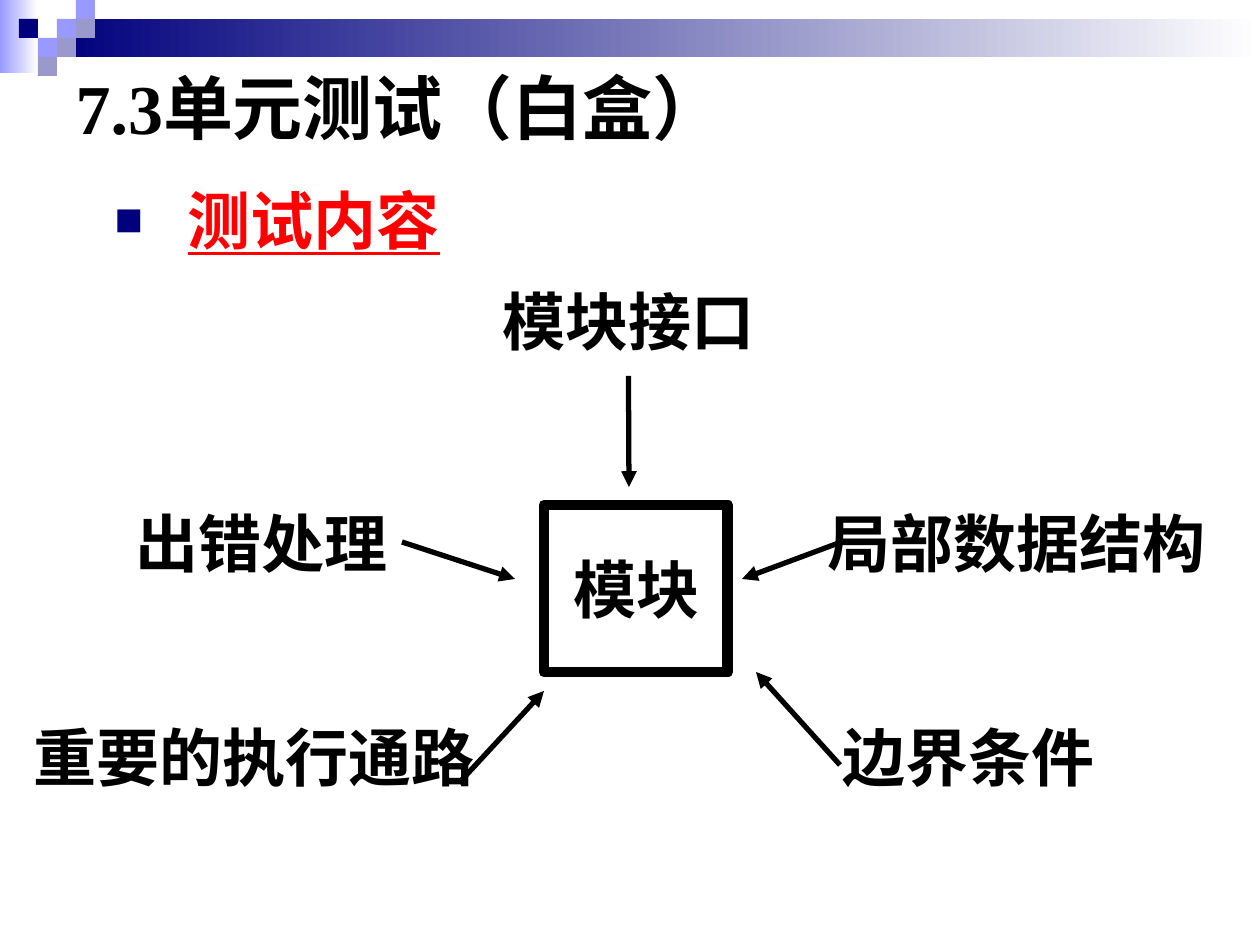
from dataclasses import dataclass

from lxml import etree
from pptx import Presentation
from pptx.dml.color import RGBColor
from pptx.enum.shapes import MSO_CONNECTOR, MSO_SHAPE
from pptx.enum.text import MSO_ANCHOR, MSO_AUTO_SIZE, PP_ALIGN
from pptx.oxml.ns import qn
from pptx.util import Emu, Pt

RECT = MSO_SHAPE.RECTANGLE
STRAIGHT = MSO_CONNECTOR.STRAIGHT
MIDDLE, BOTTOM = MSO_ANCHOR.MIDDLE, MSO_ANCHOR.BOTTOM
LEFT, CENTER = PP_ALIGN.LEFT, PP_ALIGN.CENTER
NO_FIT = MSO_AUTO_SIZE.NONE
PX_PER_INCH = 126
BOTTOM_SITE, LEFT_SITE = 2, 1


@dataclass(frozen=True)
class Theme:
    font: str = "Times New Roman"
    title_size: int = 40
    text_size: int = 36
    box_line: float = 6.25
    arrow_line: int = 3
    ink: str = "000000"
    accent: str = "FF0000"
    navy: str = "00007D"
    violet: str = "9999FF"
    dusk: str = "9999CC"
    paper: str = "FFFFFF"


THEME = Theme()


def px(n):
    return Emu(round(n * 914400 / PX_PER_INCH))


def rgb(color):
    return RGBColor.from_string(color)


def place(sp, x, y, w, h):
    sp.left, sp.top, sp.width, sp.height = px(x), px(y), px(w), px(h)


def write(sp, text, size, color=THEME.ink, align=LEFT, anchor=None, wrap=True):
    tf = sp.text_frame
    tf.text = text
    tf.word_wrap = wrap
    tf.auto_size = NO_FIT
    if anchor is not None:
        tf.vertical_anchor = anchor
    p = tf.paragraphs[0]
    p.alignment = align
    p.font.name = THEME.font
    p.font.size = Pt(size)
    p.font.bold = True
    p.font.color.rgb = rgb(color)
    return p


def add_block(s, x, y, w, h, *colors):
    sp = s.shapes.add_shape(RECT, px(x), px(y), px(w), px(h))
    sp.shadow.inherit = False
    sp.line.fill.background()
    if len(colors) == 1:
        sp.fill.solid()
        sp.fill.fore_color.rgb = rgb(colors[0])
        return
    sp.fill.gradient()
    sp.fill.gradient_angle = 0
    for stop, color in zip(sp.fill.gradient_stops, colors):
        stop.color.rgb = rgb(color)


def add_header(s, x, y, w, step):
    add_block(s, x, y, 2 * step, 73, THEME.violet, THEME.paper)
    add_block(s, x + 3 * step, y + step, w - 3 * step, 2 * step, THEME.navy, THEME.paper)
    squares = [
        (3, 1, THEME.violet), (4, 0, THEME.violet), (4, 1, THEME.dusk),
        (2, 2, THEME.violet), (1, 1, THEME.navy), (3, 2, THEME.dusk),
        (2, 3, THEME.dusk),
    ]
    for col, row, color in squares:
        add_block(s, x + col * step, y + row * step, step, step, color)


def fill_title(s, x, y, w, h):
    sp = s.shapes.title
    place(sp, x, y, w, h)
    write(sp, "7.3单元测试（白盒）", THEME.title_size, anchor=BOTTOM)


def fill_body(s, x, y, w, h):
    sp = s.placeholders[1]
    place(sp, x, y, w, h)
    p = write(sp, "测试内容", THEME.text_size, THEME.accent)
    p.font.underline = True
    p.space_before = Pt(9)
    pPr = p._p.get_or_add_pPr()
    pPr.set("marL", str(px(112)))
    pPr.set("indent", str(px(-73)))
    defaults = pPr.find(qn("a:defRPr"))
    color = etree.Element(qn("a:buClr"))
    etree.SubElement(color, qn("a:srgbClr"), val=THEME.navy)
    size = etree.Element(qn("a:buSzPct"), val="75000")
    char = etree.Element(qn("a:buChar"), char="■")
    for bullet in (color, size, char):
        defaults.addprevious(bullet)


def add_label(s, text, x, y, w, h):
    sp = s.shapes.add_textbox(px(x), px(y), px(w), px(h))
    write(sp, text, THEME.text_size, align=CENTER, anchor=MIDDLE, wrap=False)
    return sp


def add_arrow(s, x1, y1, x2, y2):
    line = s.shapes.add_connector(STRAIGHT, px(x1), px(y1), px(x2), px(y2))
    line.line.width = Pt(THEME.arrow_line)
    line.line.color.rgb = rgb(THEME.ink)
    etree.SubElement(line.line._get_or_add_ln(), qn("a:tailEnd"), type="triangle")
    etree.SubElement(line._element.spPr, qn("a:effectLst"))
    return line


def add_diagram(s, x, y):
    module = s.shapes.add_shape(RECT, px(x + 481), px(y + 240), px(184), px(167))
    module.shadow.inherit = False
    module.fill.background()
    module.line.color.rgb = rgb(THEME.ink)
    module.line.width = Pt(THEME.box_line)
    write(module, "模块", THEME.text_size, align=CENTER, anchor=MIDDLE, wrap=False)

    aspects = [
        ("模块接口", (438, 0, 255, 111), (566, 111, 566, 222), BOTTOM_SITE),
        ("出错处理", (71, 222, 255, 111), (339, 277, 452, 314), None),
        ("局部数据结构", (777, 222, 354, 111), (777, 277, 679, 314), LEFT_SITE),
        ("重要的执行通路", (0, 426, 382, 130), (396, 518, 481, 426), None),
        ("边界条件", (750, 426, 311, 130), (777, 500, 693, 407), None),
    ]
    for text, (left, top, w, h), (x1, y1, x2, y2), site in aspects:
        label = add_label(s, text, x + left, y + top, w, h)
        arrow = add_arrow(s, x + x1, y + y1, x + x2, y + y2)
        if site is not None:
            arrow.begin_connect(label, site)


def main():
    prs = Presentation()
    prs.slide_width, prs.slide_height = px(1260), px(945)
    s = prs.slides.add_slide(prs.slide_layouts[1])
    add_header(s, 0, 0, 1260, 19)
    fill_title(s, 63, 63, 1134, 92)
    fill_body(s, 63, 175, 1134, 675)
    add_diagram(s, 63, 265)
    prs.save("out.pptx")


if __name__ == "__main__":
    main()
